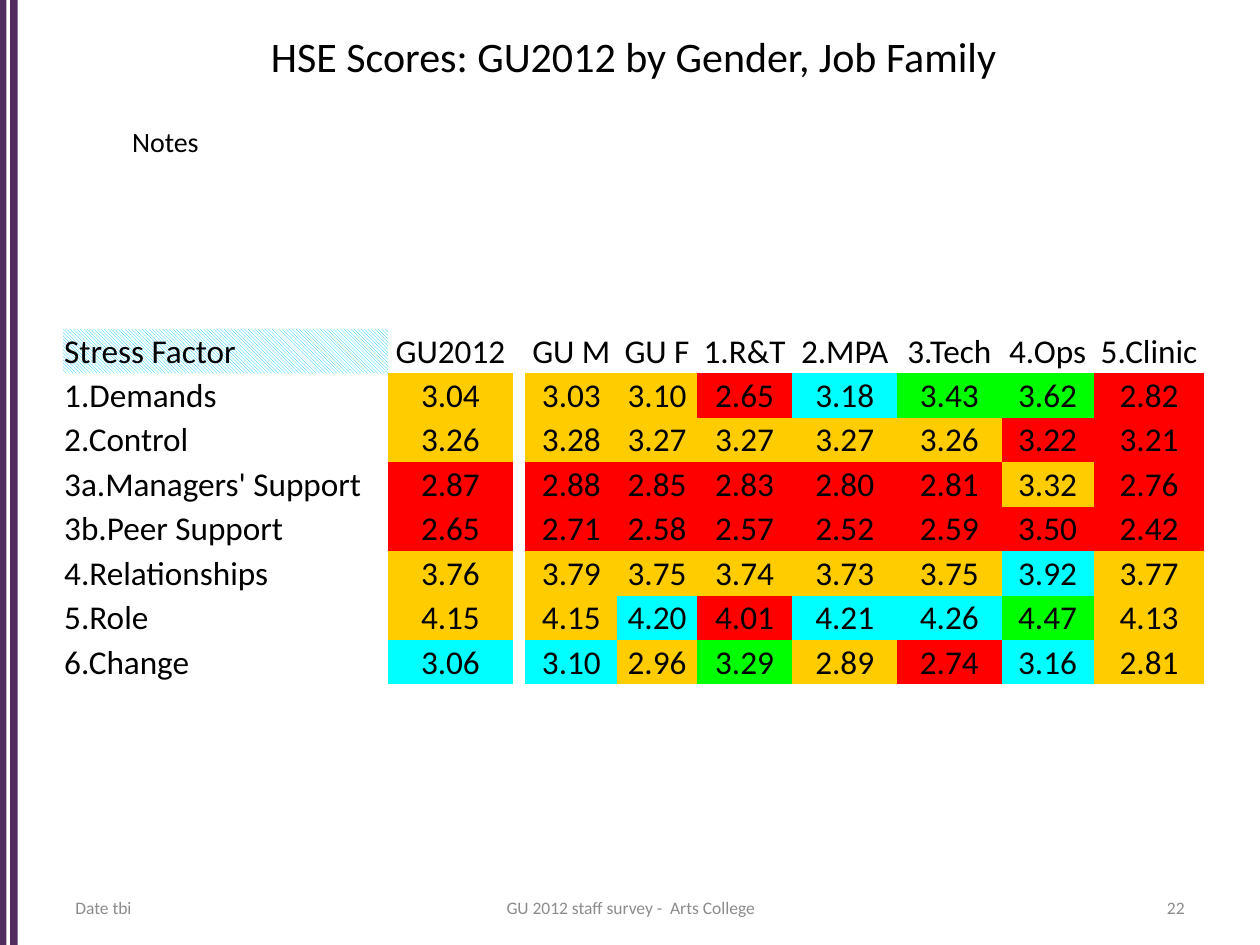
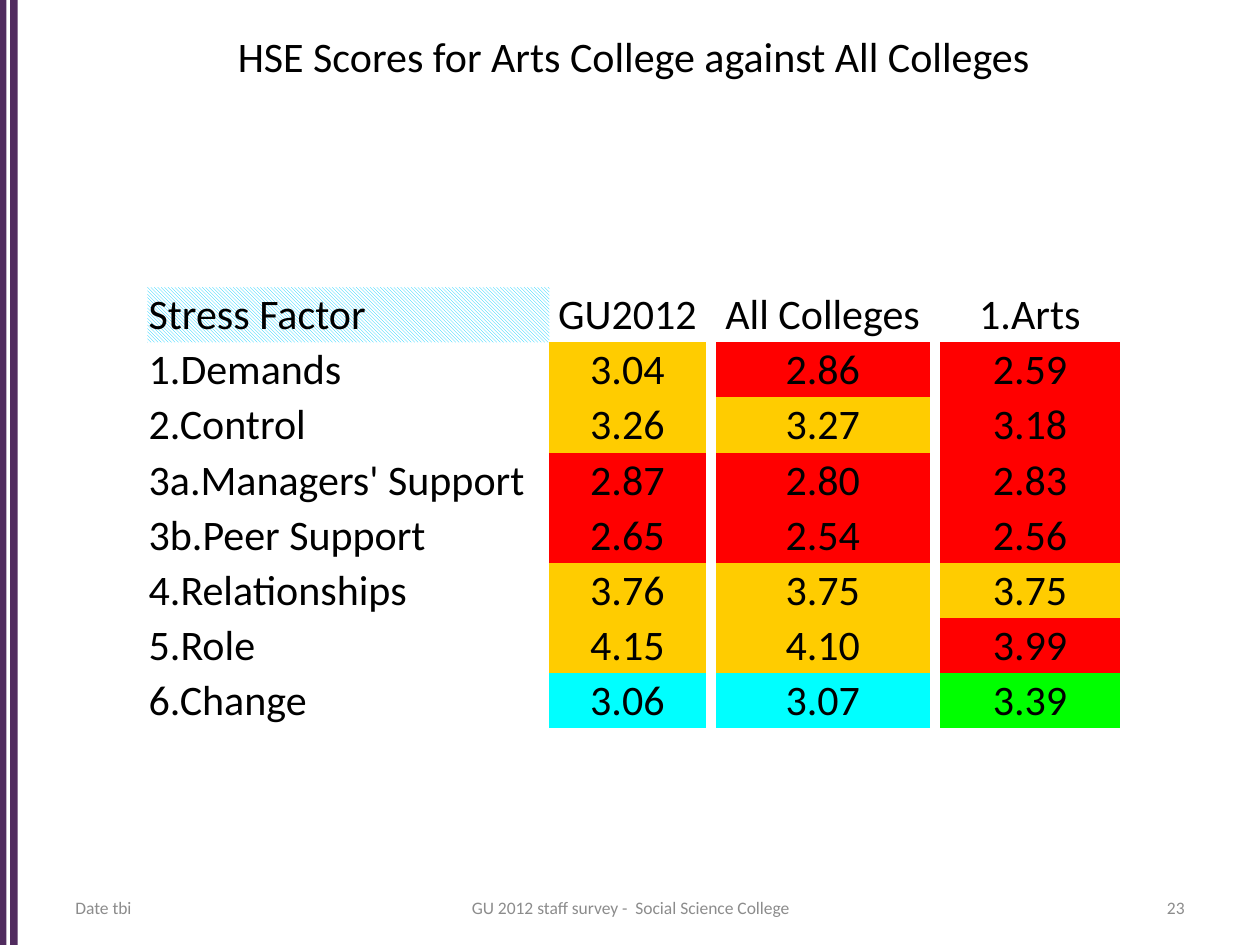
from pptx import Presentation, util as u
from pptx.dml.color import RGBColor
from pptx.enum import dml, shapes, text
from pptx.oxml.ns import qn

W, H = 10, 7.5
FONT = "Calibri"
HUES = {"band": "512C5F", "text": "000000", "foot": "8C8C8C",
        "hatch": "00CCFF", "paper": "FFFFFF",
        "R": "FF0000", "A": "FFCC00", "C": "00FFFF", "G": "00FF00"}
PLAIN = "{2D5ABB26-0587-4C30-8999-92F81FD0307C}"  # table style without grid
LEFT, MID, RIGHT = text.PP_ALIGN.LEFT, text.PP_ALIGN.CENTER, text.PP_ALIGN.RIGHT

FACTORS = ["1.Demands", "2.Control", "3a.Managers' Support", "3b.Peer Support",
           "4.Relationships", "5.Role", "6.Change"]

# A column is: heading, width, scores, one grade letter per score.
# A bare number is an empty gap of that width.
BASE = "3.04 3.26 2.87 2.65 3.76 4.15 3.06"
GRADES = "AARRAAC"
SLIDES = [
    {"title": "HSE Scores: GU2012 by Gender, Job Family",
     "foot": "GU 2012 staff survey -  Arts College", "page": 22,
     "note": "Notes", "at": (0.5, 2.61), "row": 0.353, "size": 19, "first": 2.58,
     "cols": [
         ("GU2012", 0.99, BASE, GRADES),
         0.1,
         ("GU M", 0.73, "3.03 3.28 2.88 2.71 3.79 4.15 3.10", "AARRAAC"),
         ("GU F", 0.63, "3.10 3.27 2.85 2.58 3.75 4.20 2.96", "AARRACA"),
         ("1.R&T", 0.76, "2.65 3.27 2.83 2.57 3.74 4.01 3.29", "RARRARG"),
         ("2.MPA", 0.83, "3.18 3.27 2.80 2.52 3.73 4.21 2.89", "CARRACA"),
         ("3.Tech", 0.83, "3.43 3.26 2.81 2.59 3.75 4.26 2.74", "GARRACR"),
         ("4.Ops", 0.73, "3.62 3.22 3.32 3.50 3.92 4.47 3.16", "GRARCGC"),
         ("5.Clinic", 0.88, "2.82 3.21 2.76 2.42 3.77 4.13 2.81", "RRRRAAA")]},
    {"title": "HSE Scores for Arts College against All Colleges",
     "foot": "GU 2012 staff survey -  Social Science College", "page": 23,
     "note": None, "at": (1.17, 2.28), "row": 0.4375, "size": 24, "first": 3.19,
     "cols": [
         ("GU2012", 1.24, BASE, GRADES),
         0.08,
         ("All Colleges", 1.7, "2.86 3.27 2.80 2.54 3.75 4.10 3.07", "RARRAAC"),
         0.08,
         ("1.Arts", 1.43, "2.59 3.18 2.83 2.56 3.75 3.99 3.39", "RRRRARG")]},
]


def hue(name):
    return RGBColor.from_string(HUES[name])


def style(para, size, tone="text", align=LEFT):
    para.alignment = align
    para.font.name, para.font.size = FONT, u.Pt(size)
    para.font.color.rgb = hue(tone)


def label(slide, words, box, size, tone="text", align=LEFT,
          anchor=text.MSO_ANCHOR.MIDDLE):
    frame = slide.shapes.add_textbox(*map(u.Inches, box)).text_frame
    frame.word_wrap, frame.vertical_anchor = True, anchor
    frame.text = words
    style(frame.paragraphs[0], size, tone, align)


def base(slide, item):
    """Draw what every slide shares: side bands, title and footer."""
    for x, wide in ((0, 0.05), (0.08, 0.06)):
        band = slide.shapes.add_shape(shapes.MSO_SHAPE.RECTANGLE, u.Inches(x), 0,
                                      u.Inches(wide), u.Inches(H))
        band.shadow.inherit = False
        band.fill.solid()
        band.fill.fore_color.rgb = hue("band")
        band.line.fill.background()
    label(slide, item["title"], (0.5, 0.13, 9.06, 0.63), 24, align=MID)
    for words, x, wide, align in (("Date tbi", 0.5, 2.33, LEFT),
                                  (item["foot"], 3.42, 3.17, MID),
                                  (str(item["page"]), 7.17, 2.33, RIGHT)):
        label(slide, words, (x, 7.06, wide, 0.29), 10, "foot", align)


def paint(fill, grade):
    if grade == "hatch":
        fill.patterned()
        fill.pattern = dml.MSO_PATTERN.LIGHT_DOWNWARD_DIAGONAL
        fill.fore_color.rgb, fill.back_color.rgb = hue("hatch"), hue("paper")
    elif grade:
        fill.solid()
        fill.fore_color.rgb = hue(grade)
    else:
        fill.background()


def spread(col):
    """Turn a column into its width, its words and its fills, top to bottom."""
    rows = len(FACTORS) + 1
    if isinstance(col, float):
        return col, [""] * rows, [None] * rows
    head, wide, scores, grades = col
    return wide, [head, *scores.split()], [None, *grades]


def scores(slide, item):
    lead = (item["first"], ["Stress Factor", *FACTORS],
            ["hatch"] + [None] * len(FACTORS))
    cols = [lead, *map(spread, item["cols"])]
    rows = len(FACTORS) + 1
    size = sum(col[0] for col in cols), rows * item["row"]
    frame = slide.shapes.add_table(rows, len(cols),
                                   *map(u.Inches, item["at"] + size))
    frame.element.find(".//" + qn("a:tableStyleId")).text = PLAIN
    table = frame.table
    table.first_row = table.horz_banding = False
    for row in table.rows:
        row.height = u.Inches(item["row"])
    for c, (wide, words, fills) in enumerate(cols):
        table.columns[c].width = u.Inches(wide)
        for r, (word, grade) in enumerate(zip(words, fills)):
            cell = table.cell(r, c)
            cell.margin_left = cell.margin_right = cell.margin_top = u.Inches(0.01)
            cell.margin_bottom = 0
            cell.vertical_anchor = text.MSO_ANCHOR.MIDDLE
            if word:
                cell.text = word
            style(cell.text_frame.paragraphs[0], item["size"],
                  align=MID if c else LEFT)
            paint(cell.fill, grade)


def main():
    deck = Presentation()
    deck.slide_width, deck.slide_height = u.Inches(W), u.Inches(H)
    for item in SLIDES:
        slide = deck.slides.add_slide(deck.slide_layouts[6])
        base(slide, item)
        if item["note"]:
            label(slide, item["note"], (0.95, 0.94, 8.15, 0.37), 16,
                  anchor=text.MSO_ANCHOR.TOP)
        scores(slide, item)
    deck.save("out.pptx")


if __name__ == "__main__":
    main()
